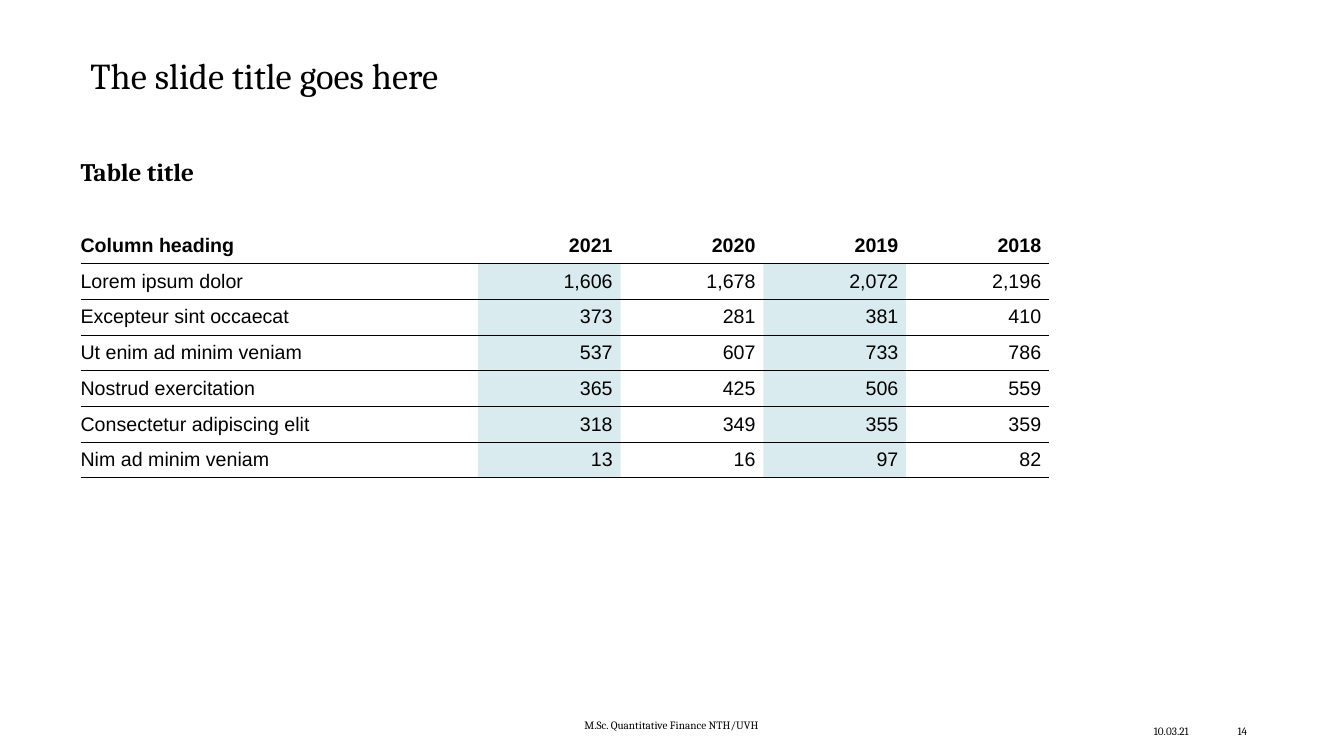
from dataclasses import dataclass, field

from lxml.etree import SubElement
from pptx import Presentation
from pptx.dml.color import RGBColor as Rgb
from pptx.enum.text import MSO_ANCHOR as Anchor, MSO_AUTO_SIZE as Fit, PP_ALIGN as Align
from pptx.oxml import parse_xml
from pptx.oxml.ns import qn
from pptx.util import Cm, Pt

HUES = {"ink": "000000", "paper": "FFFFFF", "teal": "007A96"}
TINT = 15
EDGE = 2.03
NO_GRID = "{2D5ABB26-0587-4C30-8999-92F81FD0307C}"
MARGINS = ("margin_left", "margin_top", "margin_right", "margin_bottom")
FLUSH = (0, 0, 0, 0)
INSET = (0.25, 0.13, 0.25, 0.13)

HEADS = ("Column heading", "2021", "2020", "2019", "2018")
ROWS = (
    ("Lorem ipsum dolor", "1,606", "1,678", "2,072", "2,196"),
    ("Excepteur sint occaecat", "373", "281", "381", "410"),
    ("Ut enim ad minim veniam", "537", "607", "733", "786"),
    ("Nostrud exercitation", "365", "425", "506", "559"),
    ("Consectetur adipiscing elit", "318", "349", "355", "359"),
    ("Nim ad minim veniam", "13", "16", "97", "82"),
)
WIDTHS = (10.01, 3.6, 3.6, 3.6, 3.6)
HEIGHT = 0.9


@dataclass(frozen=True)
class Label:
    text: str
    place: tuple
    size: int
    slot: int | None = None
    bold: bool = False
    inset: tuple = INSET
    anchor: Anchor = Anchor.TOP
    para: dict = field(default_factory=dict)


LABELS = (
    Label("The slide title goes here", (EDGE, 0.71, 29.79, 2.49), 26, slot=0,
          anchor=Anchor.MIDDLE, para={"line_spacing": 0.9}),
    Label("Table title", (EDGE, 3.94, 29.79, 1.09), 18, slot=1, bold=True,
          inset=FLUSH, para={"space_before": Pt(10)}),
    Label("M.Sc. Quantitative Finance NTH/UVH", (9.42, 17.96, 15.01, 0.61), 8,
          para={"alignment": Align.CENTER}),
    Label("10.03.21", (29.08, 18.11, 1.7, 0.61), 8, inset=FLUSH, anchor=Anchor.MIDDLE),
    Label("14", (30.94, 18.11, 0.89, 0.61), 8),
)


def assign(item, values: dict) -> None:
    for name, value in values.items():
        setattr(item, name, value)


def style(para, text: str, face: str, size: int, bold: bool, form: dict) -> None:
    run = para.add_run()
    run.text = text
    assign(run.font, {"name": face, "size": Pt(size), "bold": bold})
    run.font.color.rgb = Rgb.from_string(HUES["ink"])
    assign(para, {"alignment": Align.LEFT, **form})


def draw_label(slide, label: Label) -> None:
    place = [Cm(value) for value in label.place]
    if label.slot is None:
        shape = slide.shapes.add_textbox(*place)
    else:
        shape = slide.placeholders[label.slot]
        assign(shape, dict(zip(("left", "top", "width", "height"), place)))
    frame = shape.text_frame
    insets = zip(MARGINS, (Cm(value) for value in label.inset))
    assign(frame, {"word_wrap": True, "auto_size": Fit.NONE,
                   "vertical_anchor": label.anchor, **dict(insets)})
    para = frame.paragraphs[0]
    style(para, label.text, "Cambria", label.size, label.bold, label.para)
    if label.slot == 1:
        props = para._p.get_or_add_pPr()
        props.set("marL", "0")
        props.set("indent", "0")
        SubElement(props, qn("a:buNone"))


def paint(cell, row: int, col: int) -> None:
    if row == 0:
        cell.fill.background()
        return
    shade = col % 2 == 1
    cell.fill.solid()
    cell.fill.fore_color.rgb = Rgb.from_string(HUES["teal" if shade else "paper"])
    if shade:
        color = next(cell._tc.tcPr.iter(qn("a:srgbClr")))
        SubElement(color, qn("a:alpha")).set("val", str(TINT * 1000))


def rule(cell, width: float) -> None:
    line = parse_xml(
        '<a:lnB xmlns:a="http://schemas.openxmlformats.org/drawingml/2006/main" '
        f'w="{Pt(width)}"><a:solidFill><a:srgbClr val="{HUES["ink"]}"/>'
        '</a:solidFill><a:prstDash val="solid"/></a:lnB>')
    cell._tc.get_or_add_tcPr().insert(0, line)


def draw_table(slide) -> None:
    lines = (HEADS, *ROWS)
    frame = slide.shapes.add_table(
        len(lines), len(HEADS), Cm(EDGE), Cm(5.74),
        Cm(sum(WIDTHS)), Cm(HEIGHT * len(lines)))
    table = frame.table
    assign(table, {"first_row": True, "horz_banding": False})
    table._tbl.tblPr.find(qn("a:tableStyleId")).text = NO_GRID
    for column, width in zip(table.columns, WIDTHS):
        column.width = Cm(width)
    margins = dict(zip(MARGINS, (0, 0, Cm(0.2), 0)))
    for row, line in enumerate(lines):
        table.rows[row].height = Cm(HEIGHT)
        for col, text in enumerate(line):
            cell = table.cell(row, col)
            assign(cell, {"vertical_anchor": Anchor.MIDDLE, **margins})
            form = {"alignment": Align.RIGHT if col else Align.LEFT}
            style(cell.text_frame.paragraphs[0], text, "Arial", 14, row == 0, form)
            paint(cell, row, col)
            rule(cell, 0.5 if row else 1)


def main() -> None:
    deck = Presentation()
    assign(deck, {"slide_width": Cm(33.87), "slide_height": Cm(19.05)})
    slide = deck.slides.add_slide(deck.slide_layouts[1])
    for label in LABELS:
        draw_label(slide, label)
    draw_table(slide)
    deck.save("out.pptx")


if __name__ == "__main__":
    main()
